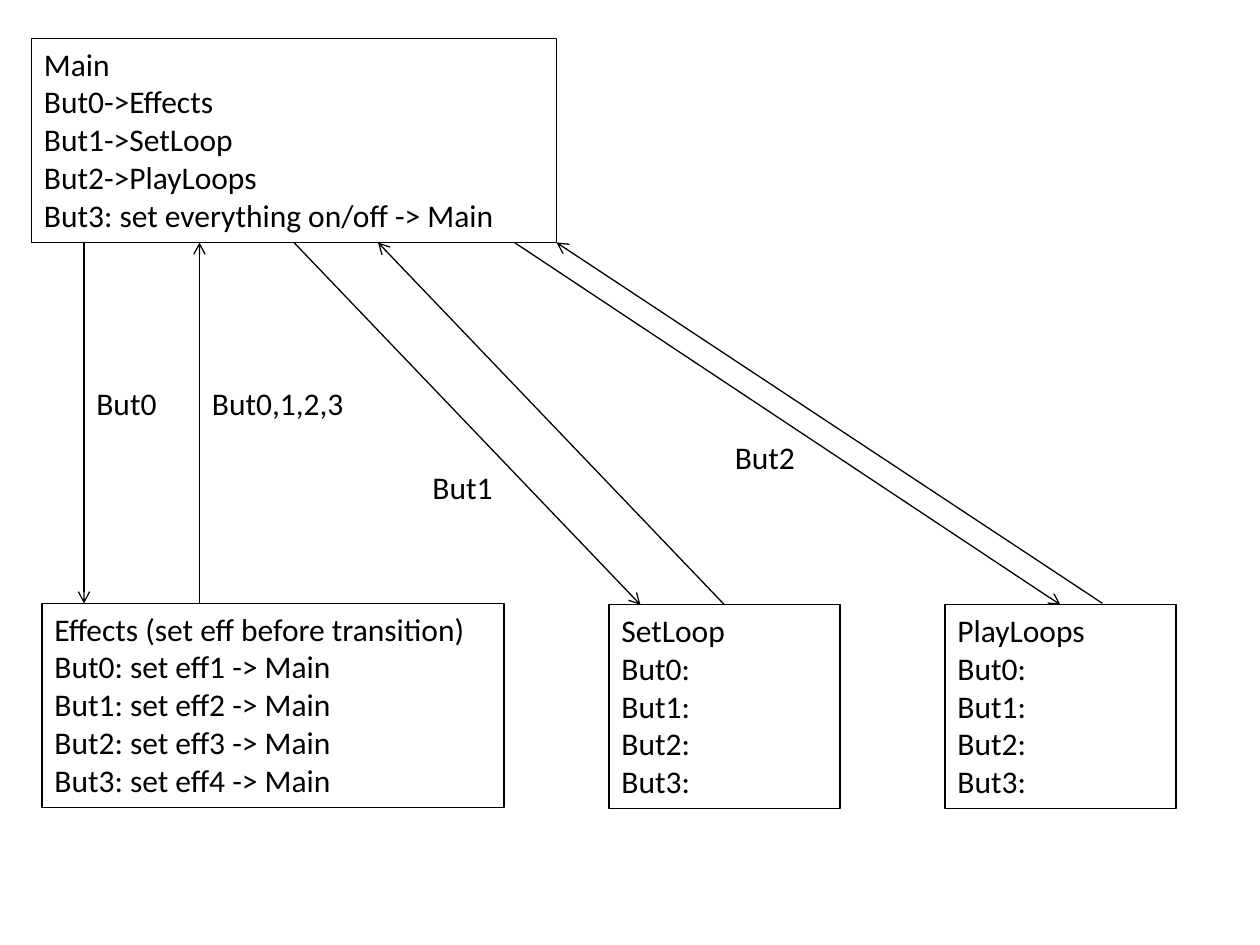
"""Builds a state diagram of four button menus and their transitions."""
from lxml.etree import SubElement
from pptx import Presentation
from pptx.dml.color import RGBColor
from pptx.enum.shapes import MSO_CONNECTOR
from pptx.enum.text import MSO_AUTO_SIZE
from pptx.oxml.ns import qn
from pptx.util import Pt

INK = "000000"
BOX_HEIGHT = 116.6
MAIN_TOP = 22
MAIN_BOTTOM = MAIN_TOP + BOX_HEIGHT
EFFECTS_TOP = 344.8
LOOPS_TOP = 345.6


def set_line(line):
    line.color.rgb = RGBColor.from_string(INK)
    line.width = Pt(0.75)


def add_text(left, top, width, height, lines):
    shape = slide.shapes.add_textbox(Pt(left), Pt(top), Pt(width), Pt(height))
    frame = shape.text_frame
    frame.word_wrap = True
    frame.auto_size = MSO_AUTO_SIZE.SHAPE_TO_FIT_TEXT
    for index, line in enumerate(lines):
        paragraph = frame.add_paragraph() if index else frame.paragraphs[0]
        run = paragraph.add_run()
        run.text = line
        run.font.name = "Calibri"
        run.font.size = Pt(18)
        run.font.color.rgb = RGBColor.from_string(INK)
    return shape


presentation = Presentation()
presentation.slide_width = Pt(720)
presentation.slide_height = Pt(540)
slide = presentation.slides.add_slide(presentation.slide_layouts[6])

loop_buttons = [f"But{number}:" for number in range(4)]
effect_buttons = [f"But{number}: set eff{number + 1} -> Main" for number in range(4)]
menus = [
    (18, MAIN_TOP, 300, ["Main", "But0->Effects", "But1->SetLoop", "But2->PlayLoops",
                         "But3: set everything on/off -> Main"]),
    (348, LOOPS_TOP, 132, ["SetLoop"] + loop_buttons),
    (540, LOOPS_TOP, 132, ["PlayLoops"] + loop_buttons),
    (24, EFFECTS_TOP, 264, ["Effects (set eff before transition)"] + effect_buttons),
]
for left, top, width, lines in menus:
    menu = add_text(left, top, width, BOX_HEIGHT, lines)
    set_line(menu.line)

transitions = [
    (48, MAIN_BOTTOM, 48, EFFECTS_TOP),
    (114, EFFECTS_TOP, 114, MAIN_BOTTOM),
    (168, MAIN_BOTTOM, 366, LOOPS_TOP),
    (414, LOOPS_TOP, 216, MAIN_BOTTOM),
    (294, MAIN_BOTTOM, 606, LOOPS_TOP),
    (630, EFFECTS_TOP, 318, MAIN_BOTTOM),
]
for ends in transitions:
    arrow = slide.shapes.add_connector(MSO_CONNECTOR.STRAIGHT, *map(Pt, ends))
    set_line(arrow.line)
    SubElement(arrow.line._get_or_add_ln(), qn("a:tailEnd"), type="arrow")
    SubElement(arrow._element.spPr, qn("a:effectLst"))

labels = [
    (48, 216, 60, "But0"),
    (114, 216, 90, "But0,1,2,3"),
    (240, 264, 54, "But1"),
    (412.8, 247, 54, "But2"),
]
for left, top, width, label in labels:
    add_text(left, top, width, 29, [label])

presentation.save("out.pptx")
